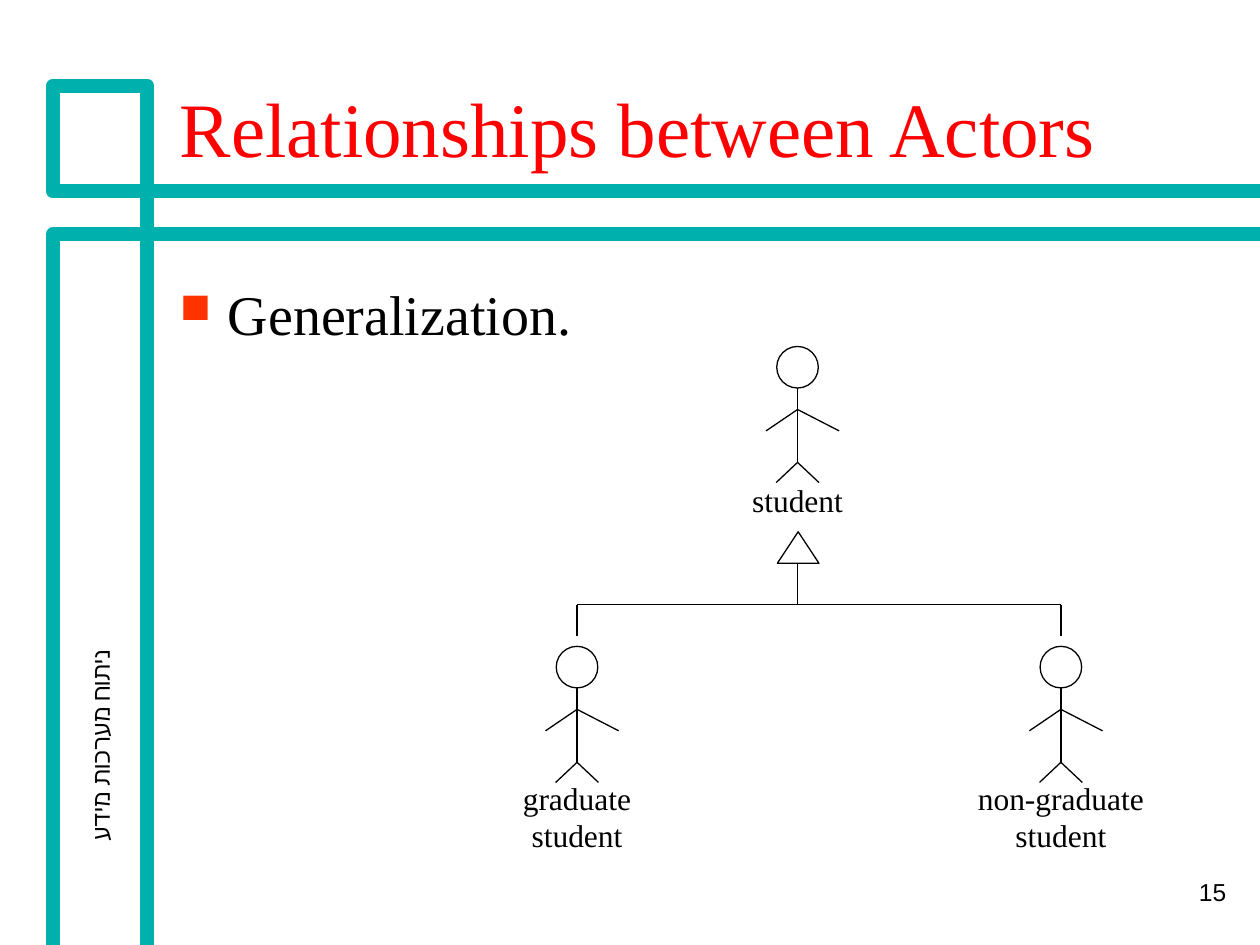
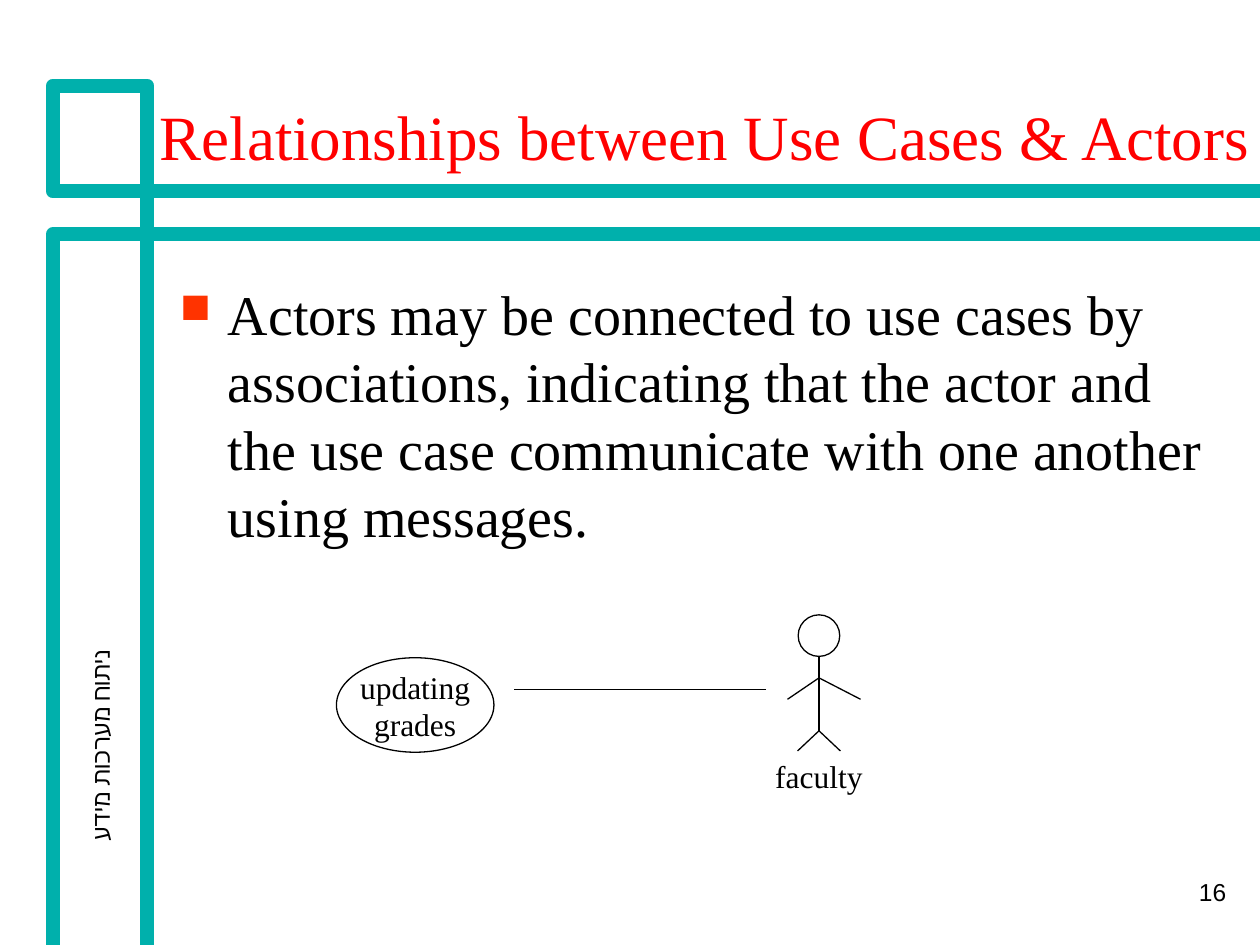
"""Build two slides on UML relationships between actors and use cases."""
from dataclasses import dataclass

from lxml.etree import SubElement
from pptx import Presentation
from pptx.dml.color import RGBColor
from pptx.enum.shapes import MSO_CONNECTOR, MSO_SHAPE
from pptx.enum.text import MSO_ANCHOR, PP_ALIGN
from pptx.oxml.ns import qn
from pptx.util import Inches, Pt


@dataclass(frozen=True)
class Theme:
    band: str = "00B0AC"
    title: str = "FF0000"
    bullet: str = "FF3300"
    ink: str = "000000"
    serif: str = "Times New Roman"
    sans: str = "Arial"
    title_size: int = 44
    long_title_size: int = 36
    body_size: int = 32
    label_size: int = 18
    footer_size: int = 14
    band_width: float = 8
    line_width: float = 0.75


THEME = Theme()
COURSE = "ניתוח מערכות מידע"
BANDS = [
    [(10.02, 1.86), (0.42, 1.86), (0.42, 7.5)],
    [(1.17, 7.5), (1.17, 0.68), (0.42, 0.68), (0.42, 1.52), (10.02, 1.52)],
]
HEAD = 0.33
LIMBS = [
    ((0, 0.33), (0, 0.92)),
    ((0, 0.5), (0.33, 0.67)),
    ((0, 0.5), (-0.25, 0.67)),
    ((0, 0.92), (0.17, 1.08)),
    ((0, 0.92), (-0.17, 1.08)),
]
TREE_Y = 4.8
SLIDES = [
    {
        "number": 15,
        "title": "Relationships between Actors",
        "title_box": (1.33, 0.23, 8.5, 1.19),
        "title_size": THEME.title_size,
        "body": "Generalization.",
        "actors": [
            {"name": "student", "x": 6.33, "top": 2.75, "label": (3.77, 1)},
            {"name": "non-graduate\nstudent", "x": 8.42, "top": 5.13, "label": (6.13, 1.67)},
            {"name": "graduate\nstudent", "x": 4.58, "top": 5.13, "label": (6.13, 1.33)},
        ],
        "use_cases": [],
        "arrowheads": [(6.17, 4.22, 0.33, 0.25)],
        "links": [
            ((4.58, 5.05), (4.58, TREE_Y)),
            ((8.42, 5.05), (8.42, TREE_Y)),
            ((4.58, TREE_Y), (8.42, TREE_Y)),
            ((6.33, 4.47), (6.33, TREE_Y)),
        ],
    },
    {
        "number": 16,
        "title": "Relationships between Use Cases & Actors",
        "title_box": (1.17, 0.23, 8.92, 1.19),
        "title_size": THEME.long_title_size,
        "body": "Actors may be connected to use cases by associations, indicating that "
                "the actor and the use case communicate with one another using messages.",
        "actors": [{"name": "faculty", "x": 6.5, "top": 4.88, "label": (5.96, 1.2)}],
        "use_cases": [("updating\ngrades", (2.67, 5.22, 1.25, 0.75))],
        "arrowheads": [],
        "links": [((6.08, 5.47), (4.08, 5.47))],
    },
]


def color(value):
    return RGBColor.from_string(value)


def add_text(slide, box, text, size, font=THEME.serif, ink=THEME.ink,
             align=PP_ALIGN.LEFT, anchor=MSO_ANCHOR.TOP):
    label = slide.shapes.add_textbox(*map(Inches, box))
    frame = label.text_frame
    frame.text = text
    frame.word_wrap = True
    frame.vertical_anchor = anchor
    for paragraph in frame.paragraphs:
        paragraph.alignment = align
        for run in paragraph.runs:
            run.font.size = Pt(size)
            run.font.name = font
            run.font.color.rgb = color(ink)
    return label


def add_outline(slide, preset, box):
    outline = slide.shapes.add_shape(preset, *map(Inches, box))
    outline.shadow.inherit = False
    outline.fill.background()
    outline.line.color.rgb = color(THEME.ink)
    outline.line.width = Pt(THEME.line_width)


def add_line(slide, start, end):
    line = slide.shapes.add_connector(MSO_CONNECTOR.STRAIGHT, *map(Inches, (*start, *end)))
    line.line.color.rgb = color(THEME.ink)
    line.line.width = Pt(THEME.line_width)
    SubElement(line._element.spPr, qn("a:effectLst"))


def add_band(slide, points):
    start, *rest = [(Inches(x), Inches(y)) for x, y in points]
    builder = slide.shapes.build_freeform(*start)
    builder.add_line_segments(rest, close=False)
    band = builder.convert_to_shape()
    band.shadow.inherit = False
    band.fill.background()
    band.line.color.rgb = color(THEME.band)
    band.line.width = Pt(THEME.band_width)
    SubElement(band.line._get_or_add_ln(), qn("a:round"))


def add_body(slide, text):
    body = add_text(slide, (1.33, 2.17, 8.5, 4.5), text, THEME.body_size)
    properties = body.text_frame.paragraphs[0]._p.get_or_add_pPr()
    properties.set("marL", str(Inches(0.38)))
    properties.set("indent", str(Inches(-0.38)))
    bullet_color = SubElement(properties, qn("a:buClr"))
    SubElement(bullet_color, qn("a:srgbClr"), val=THEME.bullet)
    SubElement(properties, qn("a:buSzPct"), val="75000")
    SubElement(properties, qn("a:buChar"), char="■")


def add_actor(slide, name, x, top, label):
    add_outline(slide, MSO_SHAPE.OVAL, (x - HEAD / 2, top, HEAD, HEAD))
    for limb in LIMBS:
        add_line(slide, *[(x + dx, top + dy) for dx, dy in limb])
    label_top, width = label
    add_text(slide, (x - width / 2, label_top, width, 0.4), name, THEME.label_size,
             align=PP_ALIGN.CENTER)


def add_use_case(slide, name, box):
    add_outline(slide, MSO_SHAPE.OVAL, box)
    left, top, width, _ = box
    add_text(slide, (left, top + 0.03, width, 0.7), name, THEME.label_size,
             align=PP_ALIGN.CENTER)


def add_frame(slide, content):
    for points in BANDS:
        add_band(slide, points)
    course = add_text(slide, (-0.79, 5.67, 3.17, 0.5), COURSE, THEME.footer_size,
                      THEME.sans, align=PP_ALIGN.CENTER, anchor=MSO_ANCHOR.MIDDLE)
    course.rotation = 270
    add_text(slide, (7.75, 6.83, 2.08, 0.5), str(content["number"]), THEME.footer_size,
             THEME.sans, align=PP_ALIGN.RIGHT, anchor=MSO_ANCHOR.MIDDLE)
    add_text(slide, content["title_box"], content["title"], content["title_size"],
             ink=THEME.title, anchor=MSO_ANCHOR.BOTTOM)


def main():
    deck = Presentation()
    deck.slide_width, deck.slide_height = Inches(10), Inches(7.5)
    for content in SLIDES:
        slide = deck.slides.add_slide(deck.slide_layouts[6])
        add_frame(slide, content)
        add_body(slide, content["body"])
        for use_case in content["use_cases"]:
            add_use_case(slide, *use_case)
        for actor in content["actors"]:
            add_actor(slide, **actor)
        for box in content["arrowheads"]:
            add_outline(slide, MSO_SHAPE.ISOSCELES_TRIANGLE, box)
        for link in content["links"]:
            add_line(slide, *link)
    deck.save("out.pptx")


if __name__ == "__main__":
    main()
